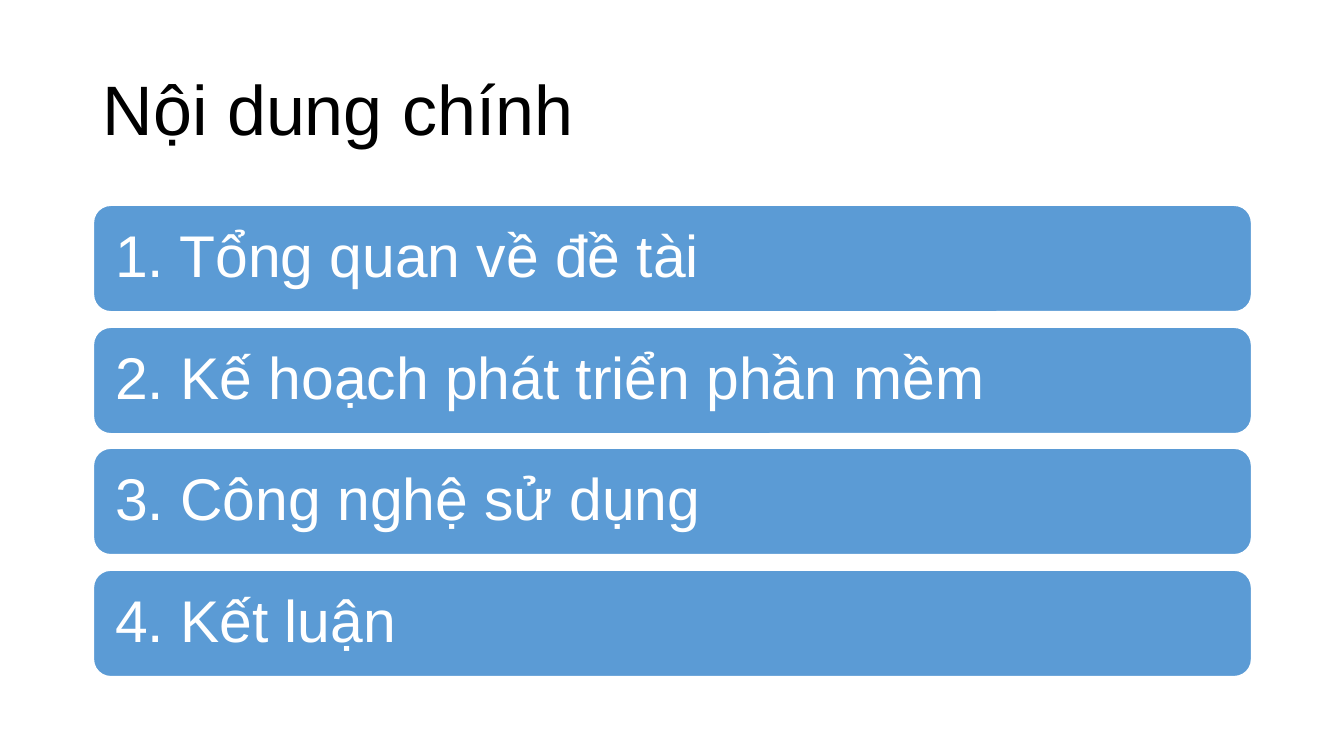
from pptx import Presentation
from pptx.dml.color import RGBColor
from pptx.enum.shapes import MSO_SHAPE
from pptx.enum.text import MSO_ANCHOR, PP_ALIGN
from pptx.util import Emu, Pt

EMU_PER_PX = 9144  # 100 px to the inch

BLACK = RGBColor(0x00, 0x00, 0x00)
WHITE = RGBColor(0xFF, 0xFF, 0xFF)
BLUE = RGBColor(0x5B, 0x9B, 0xD5)

FONT = "Arial"
LEFT, WIDTH = 92, 1150
FIRST_BAR_TOP, LAST_BAR_TOP, BAR_HEIGHT = 203, 565, 107

TITLE = "Nội dung chính"
SECTIONS = [
    "Tổng quan về đề tài",
    "Kế hoạch phát triển phần mềm",
    "Công nghệ sử dụng",
    "Kết luận",
]


def px(length):
    return Emu(length * EMU_PER_PX)


def set_text(shape, text, size, color, side_inset, end_inset):
    """Write one left-aligned, vertically centred line into a shape."""
    frame = shape.text_frame
    frame.word_wrap = True
    frame.vertical_anchor = MSO_ANCHOR.MIDDLE
    frame.margin_left = frame.margin_right = px(side_inset)
    frame.margin_top = frame.margin_bottom = px(end_inset)
    paragraph = frame.paragraphs[0]
    paragraph.text = text
    paragraph.alignment = PP_ALIGN.LEFT
    paragraph.line_spacing = 0.9
    paragraph.font.name = FONT
    paragraph.font.size = Pt(size)
    paragraph.font.color.rgb = color


def add_title(slide, text):
    box = slide.shapes.add_textbox(px(LEFT), px(39), px(WIDTH), px(145))
    set_text(box, text, 50, BLACK, 10, 5)


def add_section_bar(slide, top, text):
    bar = slide.shapes.add_shape(
        MSO_SHAPE.ROUNDED_RECTANGLE, px(LEFT), px(top), px(WIDTH), px(BAR_HEIGHT)
    )
    bar.shadow.inherit = False
    bar.fill.solid()
    bar.fill.fore_color.rgb = BLUE
    bar.line.color.rgb = WHITE
    bar.line.width = Pt(2)
    # The inset leaves the text clear of the rounded corners
    set_text(bar, text, 42, WHITE, 17, 17)


def main():
    presentation = Presentation()
    presentation.slide_width = px(1333)
    presentation.slide_height = px(750)
    slide = presentation.slides.add_slide(presentation.slide_layouts[6])

    # Heading
    add_title(slide, TITLE)

    # Numbered list of sections, spread evenly from first to last bar
    pitch = (LAST_BAR_TOP - FIRST_BAR_TOP) / (len(SECTIONS) - 1)
    for index, text in enumerate(SECTIONS):
        top = FIRST_BAR_TOP + round(index * pitch)
        add_section_bar(slide, top, f"{index + 1}. {text}")

    presentation.save("out.pptx")


if __name__ == "__main__":
    main()
